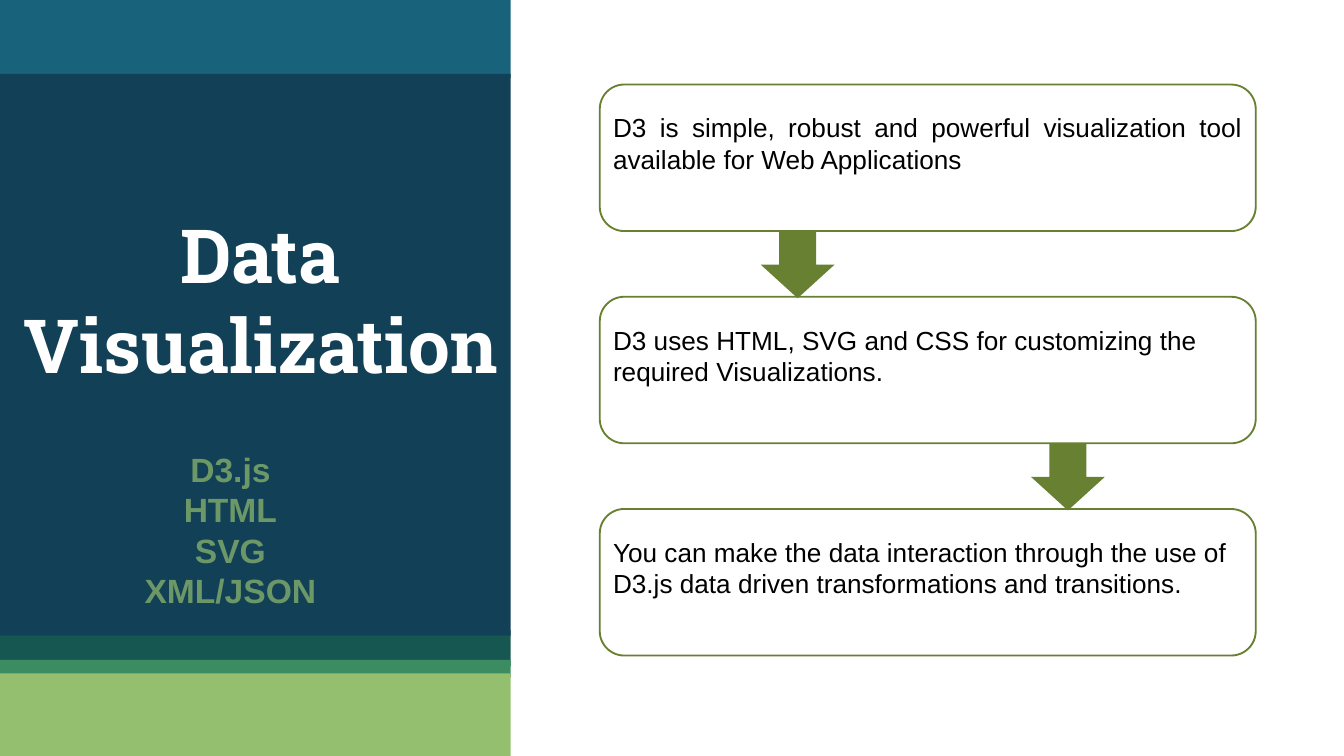
from dataclasses import dataclass
import pptx
import pptx.util
import pptx.dml.color
import pptx.enum.shapes
import pptx.enum.text

Pt = pptx.util.Pt
RGBColor = pptx.dml.color.RGBColor
Shape = pptx.enum.shapes.MSO_SHAPE
Align = pptx.enum.text.PP_ALIGN
Anchor = pptx.enum.text.MSO_ANCHOR

TEAL = RGBColor(0x18, 0x63, 0x7B)
NAVY = RGBColor(0x12, 0x40, 0x57)
PINE = RGBColor(0x16, 0x57, 0x51)
GREEN = RGBColor(0x3B, 0x8D, 0x61)
LIME = RGBColor(0x94, 0xBF, 0x6E)
OLIVE = RGBColor(0x68, 0x80, 0x31)
SAGE = RGBColor(0x6C, 0x98, 0x67)
WHITE = RGBColor(0xFF, 0xFF, 0xFF)
BLACK = RGBColor(0, 0, 0)

PANEL_WIDTH = 273.6
CARD_LEFT, CARD_TOP, CARD_WIDTH, CARD_HEIGHT = 321.3, 45.3, 351.4, 78.5
CARD_STEP = 113.7


@dataclass
class Band:
    top: float
    height: float
    color: RGBColor


@dataclass
class Step:
    text: str
    align: Align
    arrow_left: float | None = None


@dataclass
class Style:
    size: float
    color: RGBColor
    align: Align
    name: str = "Arial"
    bold: bool = False
    inset: float = 7.2
    anchor: Anchor = Anchor.TOP


BANDS = [
    Band(337.7, 19.4, PINE),
    Band(0, 41.8, TEAL),
    Band(39.6, 301, NAVY),
    Band(353.5, 9.4, GREEN),
    Band(360.7, 44.3, LIME),
]
STEPS = [
    Step("D3 is simple, robust and powerful visualization tool available for Web Applications",
         Align.JUSTIFY, 407.5),
    Step("D3 uses HTML, SVG and CSS for customizing the required Visualizations.",
         Align.LEFT, 552.3),
    Step("You can make the data interaction through the use of D3.js data driven "
         "transformations and transitions.", Align.LEFT),
]
TOPICS = ["D3.js", "HTML", "SVG", "XML/JSON"]


def apply(target: object, values: dict) -> None:
    for key, value in values.items():
        setattr(target, key, value)


def place(box, left: float, top: float, width: float, height: float) -> None:
    apply(box, {"left": Pt(left), "top": Pt(top), "width": Pt(width), "height": Pt(height)})


def write(box, lines: list[str], style: Style) -> None:
    frame = box.text_frame
    apply(frame, {
        "word_wrap": True,
        "auto_size": pptx.enum.text.MSO_AUTO_SIZE.NONE,
        "vertical_anchor": style.anchor,
        "margin_left": Pt(7.2),
        "margin_right": Pt(7.2),
        "margin_top": Pt(style.inset),
        "margin_bottom": Pt(style.inset),
    })
    frame.text = "\n".join(lines)
    for para in frame.paragraphs:
        apply(para, {"alignment": style.align, "space_before": Pt(0)})
        for span in para.runs:
            apply(span.font, {"name": style.name, "size": Pt(style.size), "bold": style.bold})
            span.font.color.rgb = style.color


def draw_filled(page, kind: Shape, left: float, top: float, width: float, height: float,
                color: RGBColor) -> None:
    box = page.shapes.add_shape(kind, Pt(left), Pt(top), Pt(width), Pt(height))
    box.shadow.inherit = False
    box.fill.solid()
    box.fill.fore_color.rgb = color
    box.line.fill.background()


def draw_card(page, top: float) -> None:
    card = page.shapes.add_shape(Shape.ROUNDED_RECTANGLE, Pt(CARD_LEFT), Pt(top),
                                 Pt(CARD_WIDTH), Pt(CARD_HEIGHT))
    card.shadow.inherit = False
    card.fill.background()
    card.line.color.rgb = OLIVE
    card.line.width = Pt(1)


def draw_step(page, step: Step, top: float) -> None:
    draw_card(page, top)
    if step.arrow_left is not None:
        draw_filled(page, Shape.DOWN_ARROW, step.arrow_left, top + CARD_HEIGHT, 39.6, 36, OLIVE)
    box = page.shapes.add_textbox(Pt(CARD_LEFT), Pt(top + 11), Pt(CARD_WIDTH), Pt(41))
    write(box, [step.text], Style(14, BLACK, step.align, inset=3.6))


def build() -> None:
    deck = pptx.Presentation()
    apply(deck, {"slide_width": Pt(720), "slide_height": Pt(405)})
    page = deck.slides.add_slide(deck.slide_layouts[5])
    for band in BANDS:
        draw_filled(page, Shape.RECTANGLE, 0, band.top, PANEL_WIDTH, band.height, band.color)

    title = page.shapes.title
    place(title, 0.7, 123.8, 277.9, 91.4)
    write(title, ["Data Visualization"],
          Style(40, WHITE, Align.CENTER, "Roboto Slab", True, anchor=Anchor.BOTTOM))
    page.shapes.element.append(title.element)

    for index, step in enumerate(STEPS):
        draw_step(page, step, CARD_TOP + index * CARD_STEP)

    topics = page.shapes.add_textbox(Pt(62.6), Pt(233.3), Pt(121.7), Pt(61.9))
    write(topics, TOPICS, Style(18, SAGE, Align.CENTER, bold=True))
    deck.save("out.pptx")


build()
